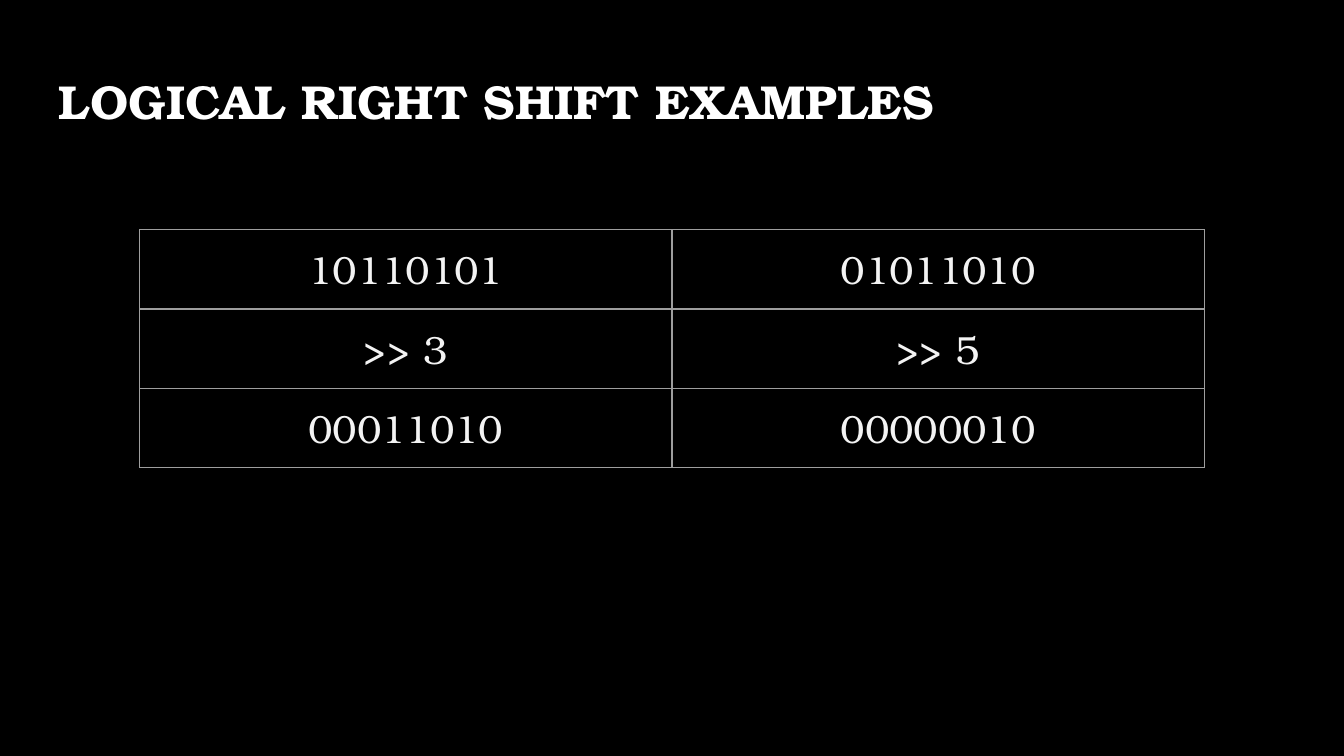
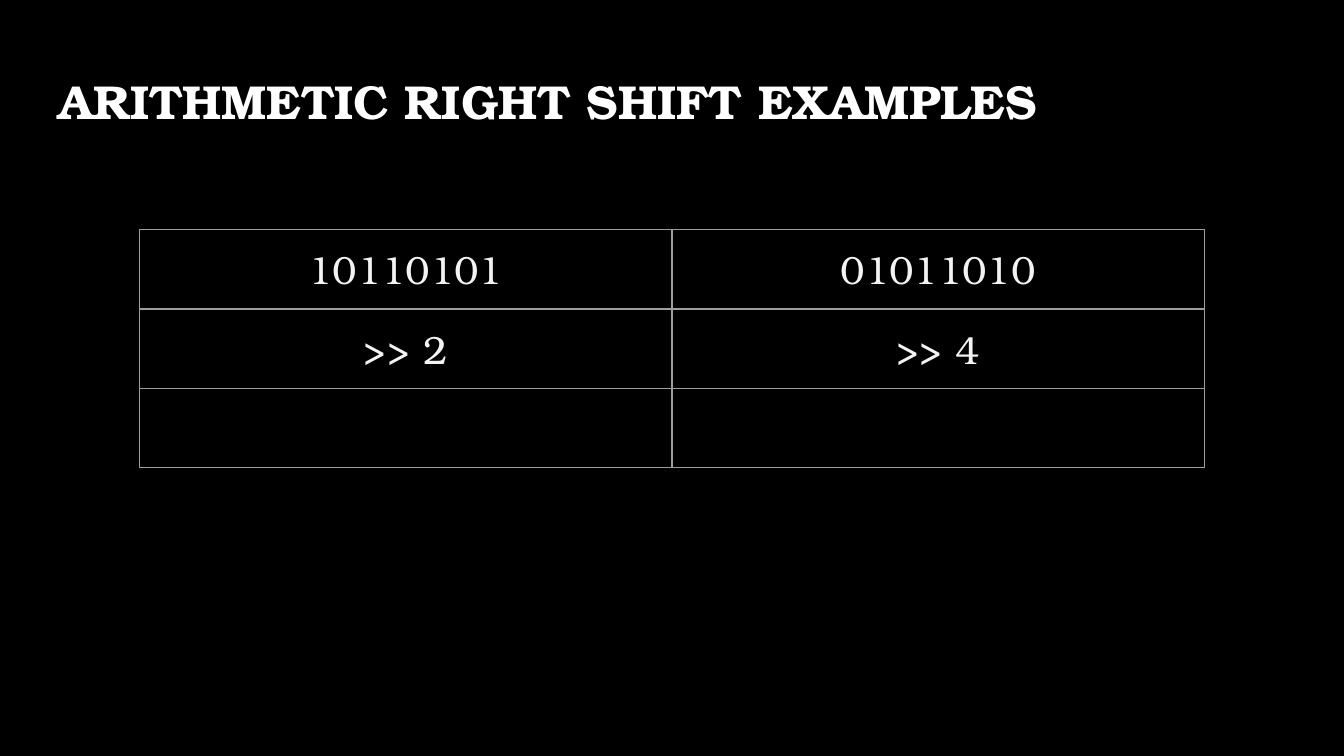
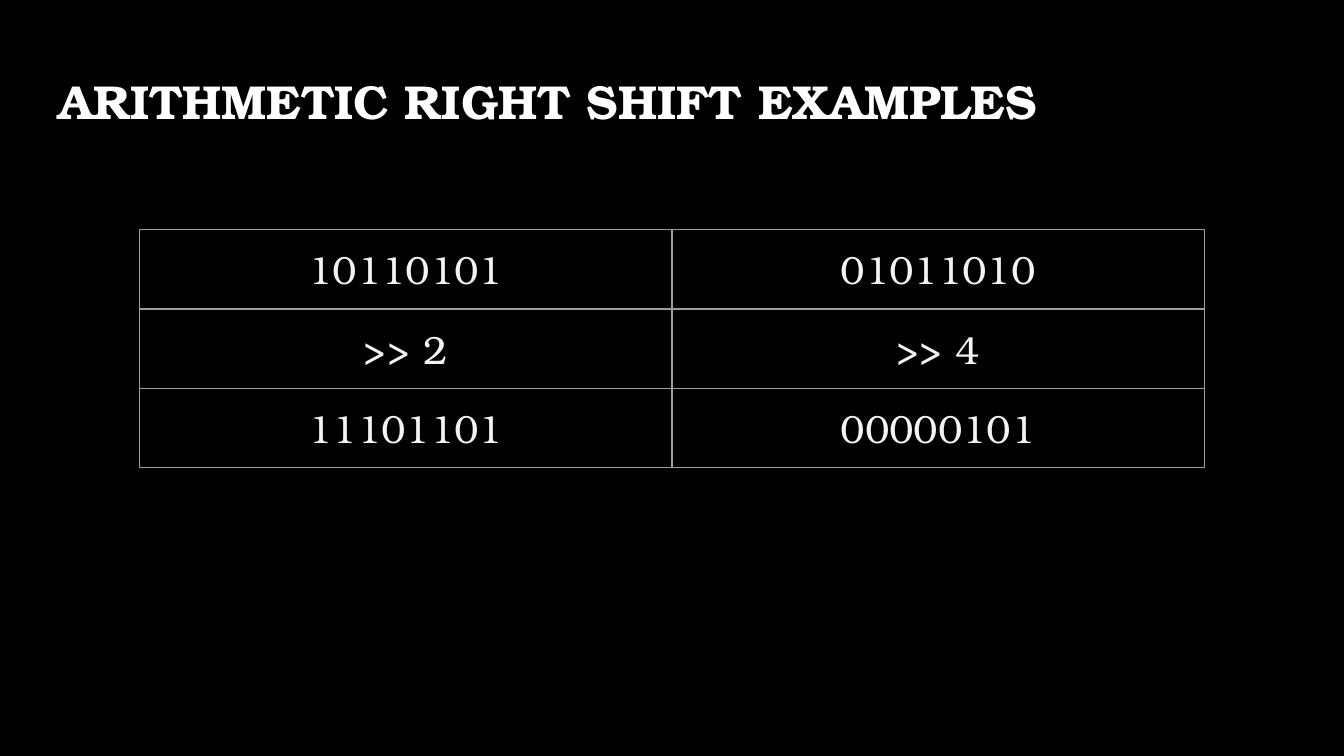
from lxml import etree
from pptx import Presentation
from pptx import util as u
from pptx.dml.color import RGBColor
from pptx.enum import text
from pptx.oxml import ns

EXAMPLES = [
    ("LOGICAL RIGHT SHIFT EXAMPLES",
     [("10110101", "01011010"), (">> 3", ">> 5"), ("00011010", "00000010")]),
    ("ARITHMETIC RIGHT SHIFT EXAMPLES",
     [("10110101", "01011010"), (">> 2", ">> 4"), ("", "")]),
    ("ARITHMETIC RIGHT SHIFT EXAMPLES",
     [("10110101", "01011010"), (">> 2", ">> 4"), ("11101101", "00000101")]),
]

COLORS = {"background": "000000", "title": "FFFFFF", "cell": "F3F3F3", "border": "9E9E9E"}
FONT = "TeX Gyre Bonum"
TITLE_FONT = {"name": FONT, "size": u.Pt(25.5), "bold": True}
CELL_FONT = {"name": FONT, "size": u.Pt(21), "bold": False}

SLIDE_WIDTH, SLIDE_HEIGHT = u.Cm(25.4), u.Cm(14.29)
TITLE_TOP, TITLE_WIDTH, TITLE_HEIGHT = u.Cm(1.24), u.Cm(23.67), u.Cm(1.6)
TABLE_TOP, COLUMN_WIDTH, ROW_HEIGHT = u.Cm(4.34), u.Cm(10.06), u.Cm(1.5)
INSET = u.Cm(0.25)
BORDER_WIDTH = u.Pt(0.75)
MARGINS = {f"margin_{side}": INSET for side in ("left", "right", "top", "bottom")}


def set_attributes(target, values):
    for name, value in values.items():
        setattr(target, name, value)


def centered(width):
    """Left edge that centres an object of this width on the slide."""
    return (SLIDE_WIDTH - width) // 2


def style_font(paragraph, values, color):
    set_attributes(paragraph.font, values)
    paragraph.font.color.rgb = RGBColor.from_string(COLORS[color])


def add_title(slide, wording):
    title = slide.shapes.title
    set_attributes(title, {"left": centered(TITLE_WIDTH), "top": TITLE_TOP,
                           "width": TITLE_WIDTH, "height": TITLE_HEIGHT})
    frame = title.text_frame
    set_attributes(frame, {**MARGINS, "text": wording, "word_wrap": True,
                           "auto_size": text.MSO_AUTO_SIZE.NONE,
                           "vertical_anchor": text.MSO_ANCHOR.TOP})
    paragraph = frame.paragraphs[0]
    set_attributes(paragraph, {"alignment": text.PP_ALIGN.LEFT, "line_spacing": 0.9})
    style_font(paragraph, TITLE_FONT, "title")


def add_borders(cell):
    properties = cell._tc.get_or_add_tcPr()
    for edge in ("a:lnL", "a:lnR", "a:lnT", "a:lnB"):
        line = etree.SubElement(properties, ns.qn(edge), w=str(BORDER_WIDTH))
        fill = etree.SubElement(line, ns.qn("a:solidFill"))
        etree.SubElement(fill, ns.qn("a:srgbClr"), val=COLORS["border"])


def add_shift_table(slide, rows):
    width = COLUMN_WIDTH * len(rows[0])
    table = slide.shapes.add_table(len(rows), len(rows[0]), centered(width), TABLE_TOP,
                                   width, ROW_HEIGHT * len(rows)).table
    set_attributes(table, {"first_row": False, "horz_banding": False})
    for row, values in enumerate(rows):
        for column, value in enumerate(values):
            cell = table.cell(row, column)
            set_attributes(cell, {**MARGINS, "text": value})
            add_borders(cell)
            cell.fill.background()
            paragraph = cell.text_frame.paragraphs[0]
            paragraph.alignment = text.PP_ALIGN.CENTER
            style_font(paragraph, CELL_FONT, "cell")


def main():
    presentation = Presentation()
    set_attributes(presentation, {"slide_width": SLIDE_WIDTH, "slide_height": SLIDE_HEIGHT})
    background = presentation.slide_master.background.fill
    background.solid()
    background.fore_color.rgb = RGBColor.from_string(COLORS["background"])
    title_only = presentation.slide_layouts.get_by_name("Title Only")
    for title, rows in EXAMPLES:
        slide = presentation.slides.add_slide(title_only)
        add_title(slide, title)
        add_shift_table(slide, rows)
    presentation.save("out.pptx")


if __name__ == "__main__":
    main()
